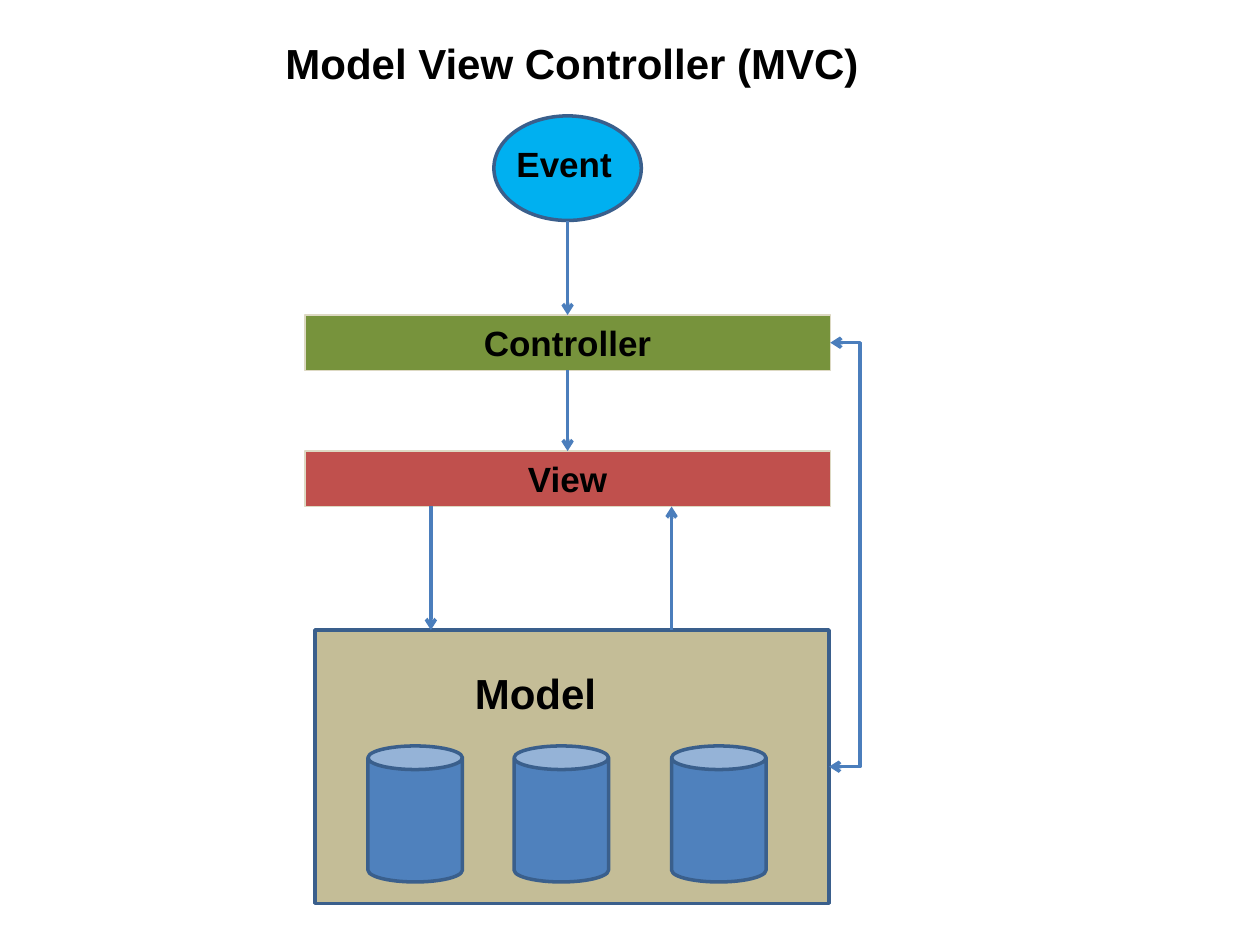
from lxml import etree
from pptx import Presentation
from pptx import util as u
from pptx.dml.color import RGBColor
from pptx.enum import shapes, text
from pptx.oxml.ns import qn

BLACK = RGBColor(0x00, 0x00, 0x00)
SKY = RGBColor(0x00, 0xB0, 0xF0)
GREEN = RGBColor(0x77, 0x93, 0x3C)
RED = RGBColor(0xC0, 0x50, 0x4D)
TAN = RGBColor(0xC4, 0xBD, 0x97)
BLUE = RGBColor(0x4F, 0x81, 0xBD)
OUTLINE = RGBColor(0x3A, 0x5F, 0x8C)
PALE_EDGE = RGBColor(0xDD, 0xD9, 0xC3)
ARROW = RGBColor(0x4B, 0x7E, 0xBC)


def write(holder, words, size=20, align=text.PP_ALIGN.LEFT, anchor=text.MSO_ANCHOR.TOP):
    frame = holder.text_frame
    frame.word_wrap = True
    frame.auto_size = text.MSO_AUTO_SIZE.NONE
    frame.vertical_anchor = anchor
    frame.text = words
    paragraph = frame.paragraphs[0]
    paragraph.alignment = align
    paragraph.space_before = u.Pt(0)
    font = paragraph.runs[0].font
    font.name, font.size, font.bold = "Arial", u.Pt(size), True
    font.color.rgb = BLACK


def box(*lengths):
    return [u.Inches(length) for length in lengths]


def block(slide, kind, place, fill, edge=OUTLINE, weight=2):
    part = slide.shapes.add_shape(kind, *place)
    part.shadow.inherit = False
    part.fill.solid()
    part.fill.fore_color.rgb = fill
    part.line.color.rgb = edge
    part.line.width = u.Pt(weight)
    return part


def arrow(slide, start, end, kind=shapes.MSO_CONNECTOR.STRAIGHT, ends=("tailEnd",)):
    link = slide.shapes.add_connector(kind, *start, *end)
    link.line.color.rgb = ARROW
    link.line.width = u.Pt(2)
    for name in ends:
        etree.SubElement(link.line._get_or_add_ln(), qn(f"a:{name}"), type="arrow")
    etree.SubElement(link._element.spPr, qn("a:effectLst"))
    return link


def add_title(slide, place):
    title = slide.shapes.title
    title.left, title.top, title.width, title.height = place
    write(title, "Model View Controller (MVC)", size=24, align=text.PP_ALIGN.CENTER)


def add_event(slide, place):
    left, top, width, height = place
    event = block(slide, shapes.MSO_SHAPE.OVAL, place, SKY)
    label = slide.shapes.add_textbox(
        left + u.Inches(0.08), top + u.Inches(0.16), u.Inches(1.08), u.Inches(0.44))
    write(label, "Event")
    return event


def add_layer(slide, place, name, fill):
    layer = block(slide, shapes.MSO_SHAPE.RECTANGLE, place, fill, PALE_EDGE, 0.75)
    write(layer, name, align=text.PP_ALIGN.CENTER, anchor=text.MSO_ANCHOR.MIDDLE)
    return layer


def add_model(slide, place):
    left, top, width, height = place
    model = block(slide, shapes.MSO_SHAPE.RECTANGLE, place, TAN)
    for offset in (0.42, 1.58, 2.83):
        block(slide, shapes.MSO_SHAPE.CAN,
              (left + u.Inches(offset), top + u.Inches(0.92), *box(0.75, 1.08)), BLUE)
    label = slide.shapes.add_textbox(
        left + u.Inches(1.17), top + u.Inches(0.25), u.Inches(1.75), u.Inches(0.5))
    write(label, "Model", size=24)
    return model


def add_flow(slide, event, controller, view, model):
    middle = event.left + event.width // 2
    trigger = arrow(slide, (middle, event.top + event.height), (middle, controller.top))
    trigger.end_connect(controller, 0)

    render = arrow(slide, (middle, controller.top + controller.height), (middle, view.top))
    render.begin_connect(controller, 2)
    render.end_connect(view, 0)

    view_bottom = view.top + view.height
    query_x, result_x = box(3.42, 5.33)
    arrow(slide, (query_x, view_bottom), (query_x, model.top))
    arrow(slide, (result_x, model.top), (result_x, view_bottom))

    model_side = model.left + model.width
    controller_side = controller.left + controller.width
    exchange = arrow(
        slide,
        (model_side, model.top + model.height // 2),
        (controller_side, controller.top + controller.height // 2),
        shapes.MSO_CONNECTOR.ELBOW, ("headEnd", "tailEnd"))
    bend = u.Inches(0.25) * 100000 // (controller_side - model_side)
    guides = exchange._element.spPr.find(qn("a:prstGeom")).get_or_add_avLst()
    etree.SubElement(guides, qn("a:gd"), name="adj1", fmla=f"val {bend}")


def main():
    deck = Presentation()
    deck.slide_width, deck.slide_height = box(10, 7.5)
    slide = deck.slides.add_slide(deck.slide_layouts[5])
    add_title(slide, box(0.33, 0.25, 8.42, 0.51))
    event = add_event(slide, box(3.92, 0.92, 1.17, 0.83))
    model = add_model(slide, box(2.5, 5, 4.08, 2.17))
    view = add_layer(slide, box(2.42, 3.58, 4.17, 0.44), "View", RED)
    controller = add_layer(slide, box(2.42, 2.5, 4.17, 0.44), "Controller", GREEN)
    add_flow(slide, event, controller, view, model)
    deck.save("out.pptx")


if __name__ == "__main__":
    main()
